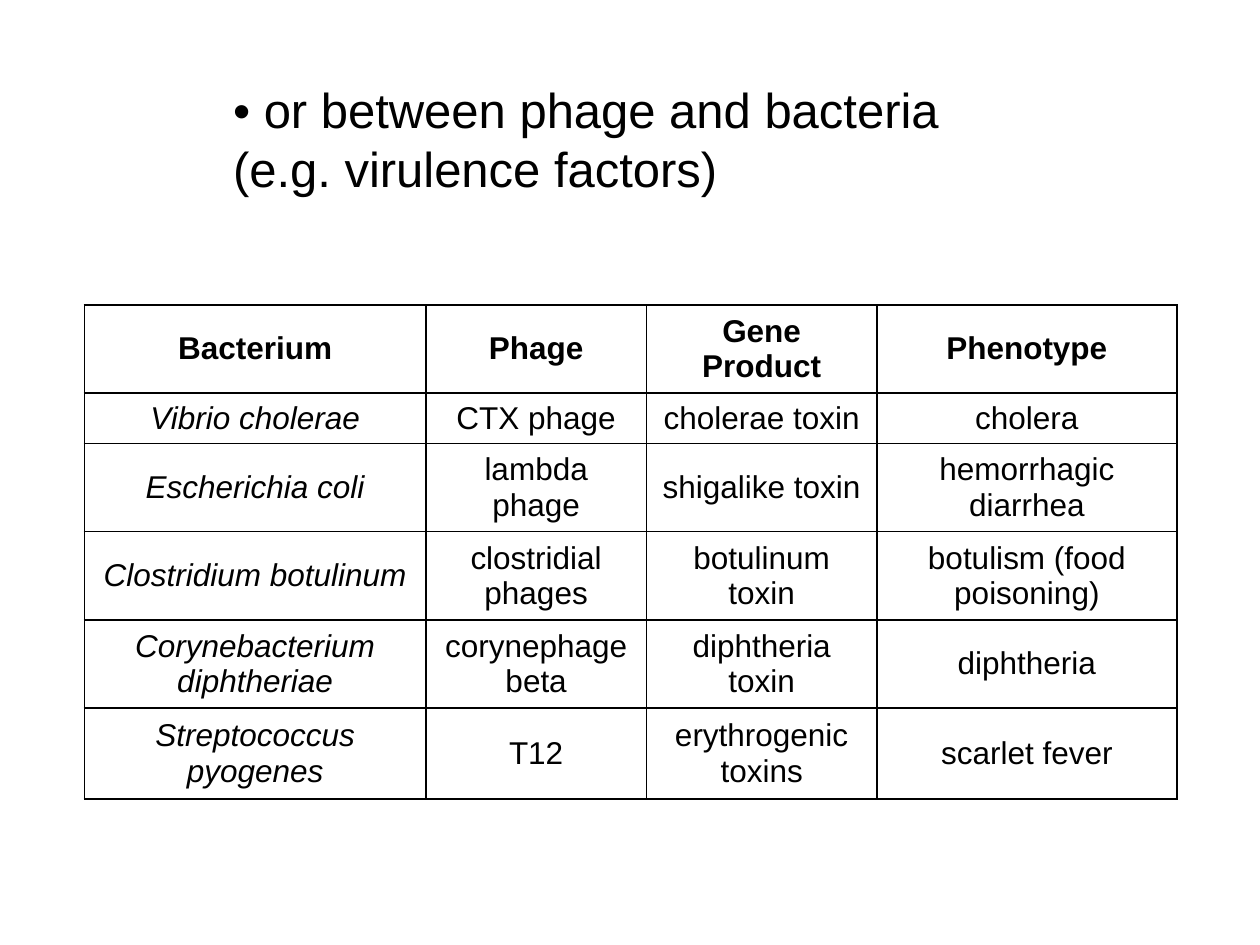
from lxml import etree
from pptx import Presentation
from pptx import util as u
from pptx.dml.color import RGBColor
from pptx.enum import text
from pptx.oxml.ns import qn

BLACK, WHITE = "000000", "FFFFFF"
ROWS = [
    ["Bacterium", "Phage", "Gene Product", "Phenotype"],
    ["Vibrio cholerae", "CTX phage", "cholerae toxin", "cholera"],
    ["Escherichia coli", "lambda phage", "shigalike toxin", "hemorrhagic diarrhea"],
    ["Clostridium botulinum", "clostridial phages", "botulinum toxin",
     "botulism (food poisoning)"],
    ["Corynebacterium diphtheriae", "corynephage beta", "diphtheria toxin", "diphtheria"],
    ["Streptococcus pyogenes", "T12", "erythrogenic toxins", "scarlet fever"],
]
COLUMN_WIDTHS = [2.71, 1.75, 1.83, 2.38]
ROW_HEIGHTS = [0.7, 0.4, 0.7, 0.7, 0.7, 0.72]


def write(frame, words, align, **font_format):
    frame.text = words
    paragraph = frame.paragraphs[0]
    paragraph.alignment = align
    font = paragraph.runs[0].font
    for name, value in {"name": "Arial", **font_format}.items():
        setattr(font, name, value)
    font.color.rgb = RGBColor.from_string(BLACK)


def add_borders(cell):
    """Put the four side lines before the cell's fill, as the schema requires."""
    properties = cell._tc.get_or_add_tcPr()
    for position, side in enumerate(["lnL", "lnR", "lnT", "lnB"]):
        line = etree.Element(qn(f"a:{side}"), w=str(u.Pt(1)))
        fill = etree.SubElement(line, qn("a:solidFill"))
        etree.SubElement(fill, qn("a:srgbClr"), val=BLACK)
        properties.insert(position, line)


prs = Presentation()
prs.slide_width, prs.slide_height = u.Inches(10), u.Inches(7.5)
slide = prs.slides.add_slide(prs.slide_layouts[5])

title = slide.shapes.title
title.left, title.top = u.Inches(1.75), u.Inches(0.58)
title.width, title.height = u.Inches(6), u.Inches(1.04)
heading = title.text_frame
write(heading, "• or between phage and bacteria (e.g. virulence factors)",
      text.PP_ALIGN.LEFT, size=u.Pt(28))
heading.word_wrap = True
heading.auto_size = text.MSO_AUTO_SIZE.NONE
heading.vertical_anchor = text.MSO_ANCHOR.TOP

phages = slide.shapes.add_table(
    len(ROWS), len(COLUMN_WIDTHS), u.Inches(0.67), u.Inches(2.42),
    u.Inches(sum(COLUMN_WIDTHS)), u.Inches(sum(ROW_HEIGHTS))).table
for column, width in zip(phages.columns, COLUMN_WIDTHS):
    column.width = u.Inches(width)
for row, height in zip(phages.rows, ROW_HEIGHTS):
    row.height = u.Inches(height)

for r, row_words in enumerate(ROWS):
    for c, words in enumerate(row_words):
        cell = phages.cell(r, c)
        write(cell.text_frame, words, text.PP_ALIGN.CENTER,
              size=u.Pt(18), bold=r == 0, italic=r > 0 and c == 0)
        cell.vertical_anchor = text.MSO_ANCHOR.MIDDLE
        cell.fill.solid()
        cell.fill.fore_color.rgb = RGBColor.from_string(WHITE)
        add_borders(cell)

prs.save("out.pptx")
